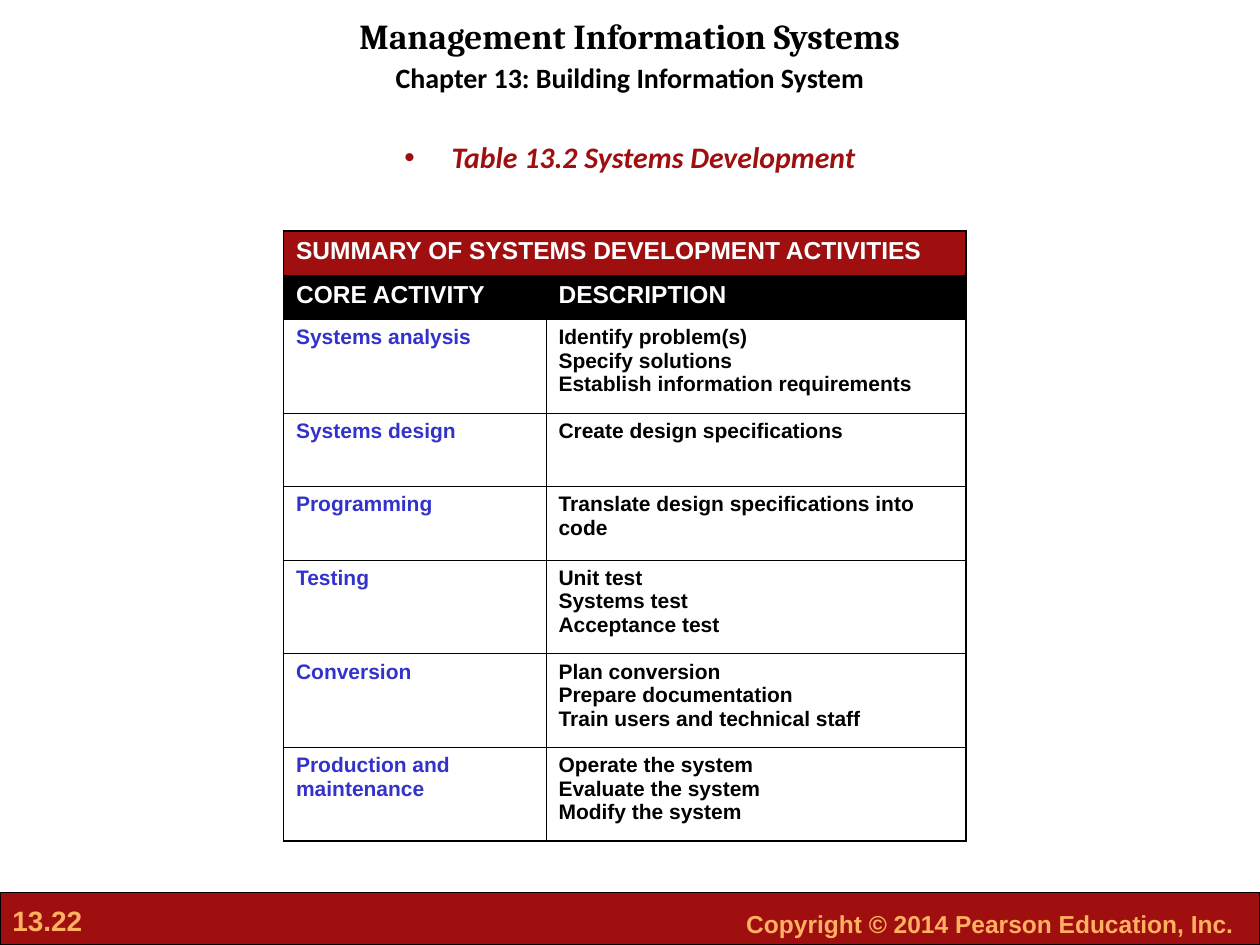
from lxml.etree import SubElement
from pptx import Presentation
from pptx.dml.color import RGBColor
from pptx.enum.shapes import MSO_SHAPE as SHAPE
from pptx.enum.text import MSO_ANCHOR as ANCHOR, MSO_AUTO_SIZE as AUTO, PP_ALIGN as ALIGN
from pptx.oxml.ns import qn
from pptx.util import Inches, Pt

RED = RGBColor(0x9F, 0x0F, 0x10)
GOLD = RGBColor(0xFF, 0xB0, 0x60)
BLUE = RGBColor(0x33, 0x33, 0xCC)
BLACK = RGBColor(0, 0, 0)
WHITE = RGBColor(255, 255, 255)

COLS, ROWS = 120, 90
OUTER, INNER = 1.08, 0.45

HEADINGS = ["CORE ACTIVITY", "DESCRIPTION"]
ACTIVITIES = [
    ("Systems analysis", "Identify problem(s)\nSpecify solutions\nEstablish information requirements"),
    ("Systems design", "Create design specifications"),
    ("Programming", "Translate design specifications into code"),
    ("Testing", "Unit test\nSystems test\nAcceptance test"),
    ("Conversion", "Plan conversion\nPrepare documentation\nTrain users and technical staff"),
    ("Production and maintenance", "Operate the system\nEvaluate the system\nModify the system"),
]


class Deck:
    def __init__(self):
        self.prs = Presentation()
        self.prs.slide_width, self.prs.slide_height = Inches(10), Inches(7.5)
        self.slide = self.prs.slides.add_slide(self.prs.slide_layouts[1])
        self.shapes = self.slide.shapes

    def x(self, cols):
        return round(self.prs.slide_width * cols / COLS)

    def y(self, rows):
        return round(self.prs.slide_height * rows / ROWS)

    def box(self, left, top, width, height):
        return self.x(left), self.y(top), self.x(width), self.y(height)

    def fill_text(self, tf, text, size, color, font="Arial", align=ALIGN.LEFT, spacing=None, italic=False):
        tf.text = text
        for p in tf.paragraphs:
            p.alignment = align
            if spacing:
                p.line_spacing = spacing
            for r in p.runs:
                r.font.name, r.font.size = font, Pt(size)
                r.font.bold, r.font.italic = True, italic
                r.font.color.rgb = color

    def bar(self, box, color):
        sp = self.shapes.add_shape(SHAPE.RECTANGLE, *self.box(*box))
        sp.shadow.inherit = False
        sp.fill.solid()
        sp.fill.fore_color.rgb = color
        sp.line.color.rgb = BLACK
        sp.line.width = Pt(0.75)

    def text(self, box, text, size, color, **style):
        sp = self.shapes.add_textbox(*self.box(*box))
        sp.text_frame.word_wrap = True
        self.fill_text(sp.text_frame, text, size, color, **style)

    def placeholder(self, idx, box, text, size, color, anchor, **style):
        sp = self.slide.placeholders[idx]
        sp.left, sp.top, sp.width, sp.height = self.box(*box)
        tf = sp.text_frame
        tf.auto_size, tf.vertical_anchor = AUTO.NONE, anchor
        pPr = tf.paragraphs[0]._p.get_or_add_pPr()
        pPr.set("marL", "0")
        pPr.set("indent", "0")
        SubElement(pPr, qn("a:buNone"))
        tf.paragraphs[0].space_before = Pt(0)
        self.fill_text(tf, text, size, color, **style)

    def border(self, cell, **widths):
        tcPr = cell._tc.get_or_add_tcPr()
        for side, width in widths.items():
            ln = SubElement(tcPr, qn(f"a:ln{side}"), w=str(Pt(width)))
            fill = SubElement(ln, qn("a:solidFill"))
            SubElement(fill, qn("a:srgbClr"), val=str(BLACK))

    def table(self, left, top, widths, heights, rows):
        box = self.box(left, top, sum(widths), sum(heights))
        table = self.shapes.add_table(len(heights), len(widths), *box).table
        table.first_row = table.horz_banding = False
        for column, width in zip(table.columns, widths):
            column.width = self.x(width)
        for row, height in zip(table.rows, heights):
            row.height = self.y(height)
        last_row, last_col = len(heights) - 1, len(widths) - 1
        for i, (texts, size, colors, fill) in enumerate(rows):
            for j, (text, color) in enumerate(zip(texts, colors)):
                cell = table.cell(i, j)
                self.fill_text(cell.text_frame, text, size, color)
                self.border(
                    cell,
                    L=INNER if j else OUTER,
                    R=OUTER if j == last_col or i == 0 else INNER,
                    T=INNER if i else OUTER,
                    B=OUTER if i == last_row else INNER,
                )
                cell.fill.solid()
                cell.fill.fore_color.rgb = fill
        table.cell(0, 0).merge(table.cell(0, last_col))


def main():
    deck = Deck()
    deck.bar((0, 85, COLS, 5), RED)
    deck.text((0, 85.5, 14, 4.5), "13.22", 16, GOLD)
    deck.text((18, 86, 100.7, 4), "Copyright © 2014 Pearson Education, Inc.", 14, GOLD, align=ALIGN.RIGHT)
    deck.placeholder(0, (0, 0, COLS, 6.8), "Management Information Systems", 20, BLACK,
                     ANCHOR.MIDDLE, font="Cambria", align=ALIGN.CENTER)
    deck.text((26.25, 5.4, 67.5, 4), "Chapter 13: Building Information System", 16, BLACK,
              font="Calibri", align=ALIGN.CENTER, spacing=Pt(18))
    deck.placeholder(1, (0, 13, COLS, 5), "Table 13.2 Systems Development", 17, RED,
                     ANCHOR.TOP, font="Calibri", align=ALIGN.CENTER, spacing=0.9, italic=True)
    rows = [
        (["SUMMARY OF SYSTEMS DEVELOPMENT ACTIVITIES", ""], 14, [WHITE, WHITE], RED),
        (HEADINGS, 14, [WHITE, WHITE], BLACK),
    ]
    rows += [(activity, 12, [BLUE, BLACK], WHITE) for activity in ACTIVITIES]
    short, medium, tall = 4.2, 7, 8.93
    heights = [short] * 2 + [tall] + [medium] * 2 + [tall] * 3
    deck.table(27, 22, [25, 40], heights, rows)
    deck.prs.save("out.pptx")


if __name__ == "__main__":
    main()
